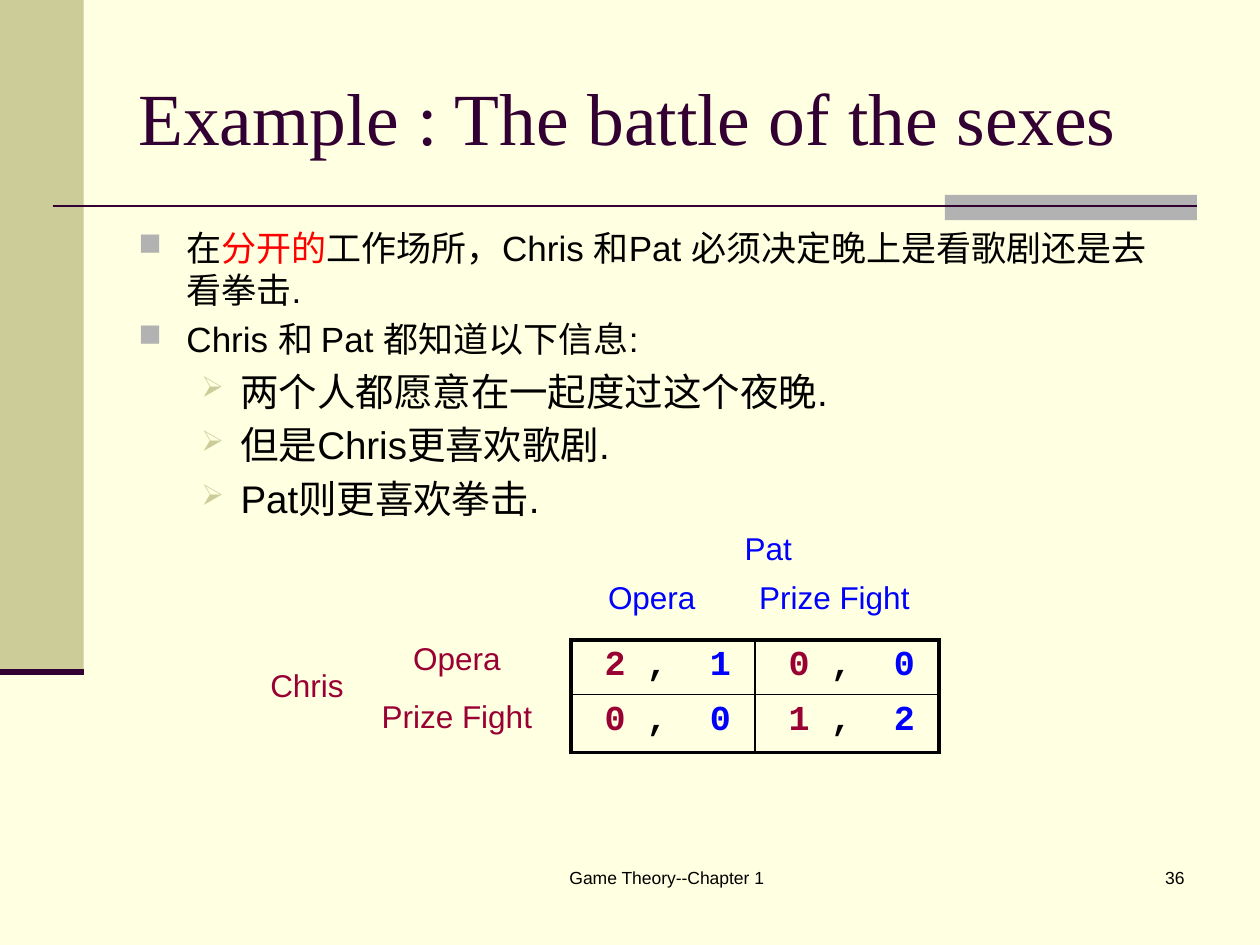
import pptx
import pptx.dml.color
import pptx.enum.shapes
import pptx.enum.text
import pptx.oxml
import pptx.oxml.ns
import pptx.util
import lxml.etree

Cm = pptx.util.Cm
Pt = pptx.util.Pt
qn = pptx.oxml.ns.qn
ALIGN = pptx.enum.text.PP_ALIGN
ANCHOR = pptx.enum.text.MSO_ANCHOR

BLACK, RED, BLUE = "000000", "990033", "0000FF"
PURPLE, GRAY, KHAKI = "330033", "B2B2B2", "CCCC99"


def rgb(value):
    return pptx.dml.color.RGBColor.from_string(value)


def add_run(p, text, size=18, color=BLACK, font="Arial", bold=False):
    r = p.add_run()
    r.text = text
    r.font.size = Pt(size)
    r.font.name = font
    r.font.bold = bold
    r.font.color.rgb = rgb(color)


def sub(parent, tag, **attrs):
    return lxml.etree.SubElement(parent, qn(tag), attrs)


class SlideBuilder:
    bullets = {
        0: dict(char="■", color=GRAY, scale="90000", left=0.97, hang=0.97, size=20),
        1: dict(char="➢", color=KHAKI, scale="75000", left=2.06, hang=0.79, size=22),
    }

    def __init__(self, prs, background):
        self.s = prs.slides.add_slide(prs.slide_layouts[6])
        fill = self.s.background.fill
        fill.solid()
        fill.fore_color.rgb = rgb(background)

    def rect(self, x, y, w, h, color):
        sp = self.s.shapes.add_shape(
            pptx.enum.shapes.MSO_SHAPE.RECTANGLE, Cm(x), Cm(y), Cm(w), Cm(h))
        sp.shadow.inherit = False
        sp.fill.solid()
        sp.fill.fore_color.rgb = rgb(color)
        sp.line.fill.background()

    def line(self, x1, x2, y, width):
        sp = self.s.shapes.add_connector(
            pptx.enum.shapes.MSO_CONNECTOR.STRAIGHT, Cm(x1), Cm(y), Cm(x2), Cm(y))
        sp.line.color.rgb = rgb(PURPLE)
        sp.line.width = Pt(width)
        sub(sp._element.spPr, "a:effectLst")

    def frame(self, x, y, w, h, anchor=ANCHOR.TOP):
        tf = self.s.shapes.add_textbox(Cm(x), Cm(y), Cm(w), Cm(h)).text_frame
        tf.word_wrap = True
        tf.vertical_anchor = anchor
        return tf

    def text(self, x, y, w, h, text, align=ALIGN.CENTER, anchor=ANCHOR.TOP, **fmt):
        p = self.frame(x, y, w, h, anchor).paragraphs[0]
        p.alignment = align
        add_run(p, text, **fmt)

    def bullet_list(self, x, y, w, h, items):
        tf = self.frame(x, y, w, h)
        for i, (level, runs) in enumerate(items):
            p = tf.add_paragraph() if i else tf.paragraphs[0]
            style = self.bullets[level]
            p.level = level
            pPr = p._p.get_or_add_pPr()
            pPr.set("marL", str(Cm(style["left"])))
            pPr.set("indent", str(-Cm(style["hang"])))
            sub(sub(pPr, "a:buClr"), "a:srgbClr", val=style["color"])
            sub(pPr, "a:buSzPct", val=style["scale"])
            sub(pPr, "a:buChar", char=style["char"])
            if i:
                p.space_before = Pt(style["size"] * 0.2)
            for text, color in runs:
                add_run(p, text, size=style["size"], color=color)

    def border(self, cell, sides):
        tcPr = cell._tc.get_or_add_tcPr()
        for i, (side, width) in enumerate(sides.items()):
            ln = pptx.oxml.parse_xml(
                f'<a:ln{side} {pptx.oxml.ns.nsdecls("a")} w="{Pt(width)}">'
                f'<a:solidFill><a:srgbClr val="{BLACK}"/></a:solidFill></a:ln{side}>')
            tcPr.insert(i, ln)

    def payoff_table(self, x, y, col_width, row_heights, payoffs):
        rows, cols = len(payoffs), len(payoffs[0])
        table = self.s.shapes.add_table(
            rows, cols, Cm(x), Cm(y), Cm(col_width * cols), Cm(sum(row_heights))).table
        table.first_row = table.horz_banding = False
        for col in table.columns:
            col.width = Cm(col_width)
        for i, row in enumerate(payoffs):
            table.rows[i].height = Cm(row_heights[i])
            for j, (chris, pat) in enumerate(row):
                cell = table.cell(i, j)
                cell.fill.background()
                p = cell.text_frame.paragraphs[0]
                for text, color in ((f" {chris} ", RED), (", ", BLACK), (f" {pat}", BLUE)):
                    add_run(p, text, size=20, color=color, font="Courier New", bold=True)
                edges = {"L": j == 0, "R": j == cols - 1, "T": i == 0, "B": i == rows - 1}
                self.border(cell, {k: 2.25 if outer else 1 for k, outer in edges.items()})


def main():
    prs = pptx.Presentation()
    prs.slide_width, prs.slide_height = Cm(25.4), Cm(19.05)
    b = SlideBuilder(prs, "FFFFE1")

    b.rect(0, 0, 1.69, 13.55, KHAKI)
    b.rect(19.05, 3.93, 5.08, 0.51, GRAY)
    b.line(1.06, 24.13, 4.15, 1.5)
    b.line(0, 1.69, 13.55, 3.5)

    b.text(9.31, 17.36, 8.26, 1.27, "Game Theory--Chapter 1", size=10)
    b.text(18.84, 17.36, 5.29, 1.27, "36", align=ALIGN.RIGHT, size=10)
    b.text(2.54, 0.76, 21.59, 3.18, "Example : The battle of the sexes",
           align=ALIGN.LEFT, anchor=ANCHOR.MIDDLE,
           size=42, color=PURPLE, font="Times New Roman")

    b.bullet_list(2.54, 4.45, 21.39, 6.43, [
        (0, [("在", BLACK), ("分开的", "FF0000"),
             ("工作场所，Chris 和Pat 必须决定晚上是看歌剧还是去看拳击.", BLACK)]),
        (0, [("Chris 和 Pat 都知道以下信息:", BLACK)]),
        (1, [("两个人都愿意在一起度过这个夜晚.", BLACK)]),
        (1, [("但是Chris更喜欢歌剧.", BLACK)]),
        (1, [("Pat则更喜欢拳击.", BLACK)]),
    ])

    b.payoff_table(11.51, 12.9, 3.71, (1.05, 1.17),
                   [[(2, 1), (0, 0)], [(0, 0), (1, 2)]])

    b.text(3.4, 13.31, 3.78, 1.02, "Chris", align=ALIGN.RIGHT, color=RED)
    b.text(13.61, 10.54, 3.76, 1.02, "Pat", color=BLUE)
    for i, choice in enumerate(("Opera", "Prize Fight")):
        b.text(11.35 + 3.68 * i, 11.52, 3.58, 1.02, choice, color=BLUE)
        b.text(7.32, 12.75 + 1.17 * i, 3.78, 1.02, choice, color=RED)

    prs.save("out.pptx")


if __name__ == "__main__":
    main()
